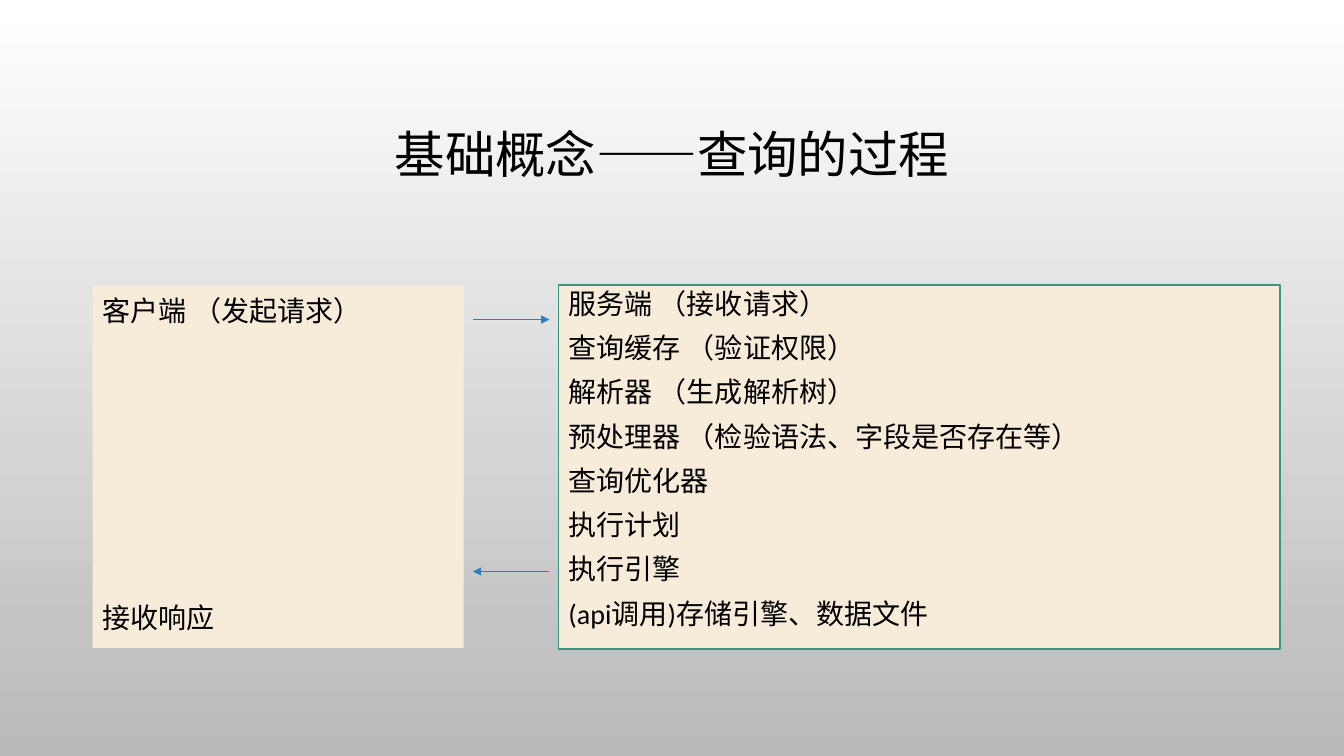
import lxml.etree
import pptx
import pptx.dml.color
import pptx.enum.shapes
import pptx.enum.text
import pptx.oxml.ns
import pptx.util

ALIGN = pptx.enum.text.PP_ALIGN
ANCHOR = pptx.enum.text.MSO_ANCHOR
SERVER = [
    "服务端 （接收请求）",
    "查询缓存 （验证权限）",
    "解析器 （生成解析树）",
    "预处理器 （检验语法、字段是否存在等）",
    "查询优化器",
    "执行计划",
    "执行引擎",
    "(api调用)存储引擎、数据文件",
]


def tint(code):
    return pptx.dml.color.RGBColor.from_string(code)


def put(item, form):
    for key, value in form.items():
        setattr(item, key, value)


def add(node, tag, **form):
    return lxml.etree.SubElement(node, pptx.oxml.ns.qn(tag), **form)


class Deck:
    """Holds the style and the current slide; lengths are percent of its size."""

    face = "Calibri"
    ink = "000000"
    cream = "F7EBD9"
    green = "379580"
    blue = "2683BF"

    def __init__(self):
        self.show = pptx.Presentation()
        put(self.show, {"slide_width": pptx.util.Inches(13.33),
                        "slide_height": pptx.util.Inches(7.5)})
        self.slide = self.show.slides.add_slide(self.show.slide_layouts[1])

    def spot(self, x, y):
        return (round(self.show.slide_width * x / 100),
                round(self.show.slide_height * y / 100))

    def place(self, shape, x, y, wide, high):
        left, top = self.spot(x, y)
        width, height = self.spot(wide, high)
        put(shape, {"left": left, "top": top, "width": width, "height": height})

    def back(self, first, last):
        fill = self.slide.background.fill
        fill.gradient()
        fill.gradient_angle = 270
        for stop, code, spot in zip(fill.gradient_stops, (first, last), (0, 1)):
            stop.color.rgb = tint(code)
            stop.position = spot

    def label(self, shape, lines, size, form, anchor):
        frame = shape.text_frame
        frame.text = "\n".join(lines)
        put(frame, {"word_wrap": True, "vertical_anchor": anchor,
                    "auto_size": pptx.enum.text.MSO_AUTO_SIZE.NONE})
        for para in frame.paragraphs:
            put(para, form)
            props = para._p.get_or_add_pPr()
            props.set("marL", "0")
            props.set("indent", "0")
            add(props, "a:buNone")
            for run in para.runs:
                put(run.font, {"name": self.face, "size": pptx.util.Pt(size)})
                run.font.color.rgb = tint(self.ink)

    def title(self, text, *area):
        shape = self.slide.shapes.title
        self.place(shape, *area)
        form = {"alignment": ALIGN.CENTER, "line_spacing": 0.9}
        self.label(shape, [text], 36, form, ANCHOR.MIDDLE)

    def panel(self, shape, lines, pitch, *area):
        self.place(shape, *area)
        shape.fill.solid()
        shape.fill.fore_color.rgb = tint(self.cream)
        form = {"alignment": ALIGN.LEFT, "line_spacing": pitch,
                "space_before": pptx.util.Pt(10)}
        self.label(shape, lines, 20, form, ANCHOR.TOP)

    def client(self, lines, gap, *area):
        shape = self.slide.placeholders[1]
        self.panel(shape, lines, 1.1, *area)
        shape.text_frame.paragraphs[-1].space_before = pptx.util.Pt(gap)

    def server(self, lines, *area):
        kind = pptx.enum.shapes.MSO_SHAPE.RECTANGLE
        shape = self.slide.shapes.add_shape(kind, 0, 0, 0, 0)
        shape.shadow.inherit = False
        shape.line.color.rgb = tint(self.green)
        shape.line.width = pptx.util.Pt(1.25)
        self.panel(shape, lines, 0.9, *area)

    def arrow(self, start, end, y):
        kind = pptx.enum.shapes.MSO_CONNECTOR.STRAIGHT
        link = self.slide.shapes.add_connector(
            kind, *self.spot(start, y), *self.spot(end, y))
        link.line.color.rgb = tint(self.blue)
        link.line.width = pptx.util.Pt(0.75)
        props = link.element.spPr
        add(props.find(pptx.oxml.ns.qn("a:ln")), "a:tailEnd", type="triangle")
        add(props, "a:effectLst")


def main():
    deck = Deck()
    deck.back("FFFFFF", "B9B9B9")
    deck.title("基础概念——查询的过程", 7.5, 9.07, 85, 23.33)
    deck.client(["客户端 （发起请求）", "接收响应"], 193, 6.9, 37.73, 27.6, 48)
    deck.server(SERVER, 41.56, 37.73, 53.7, 48.13)
    near, far = 35.18, 40.88
    deck.arrow(near, far, 42.27)
    deck.arrow(far, near, 75.6)
    deck.show.save("out.pptx")


if __name__ == "__main__":
    main()
